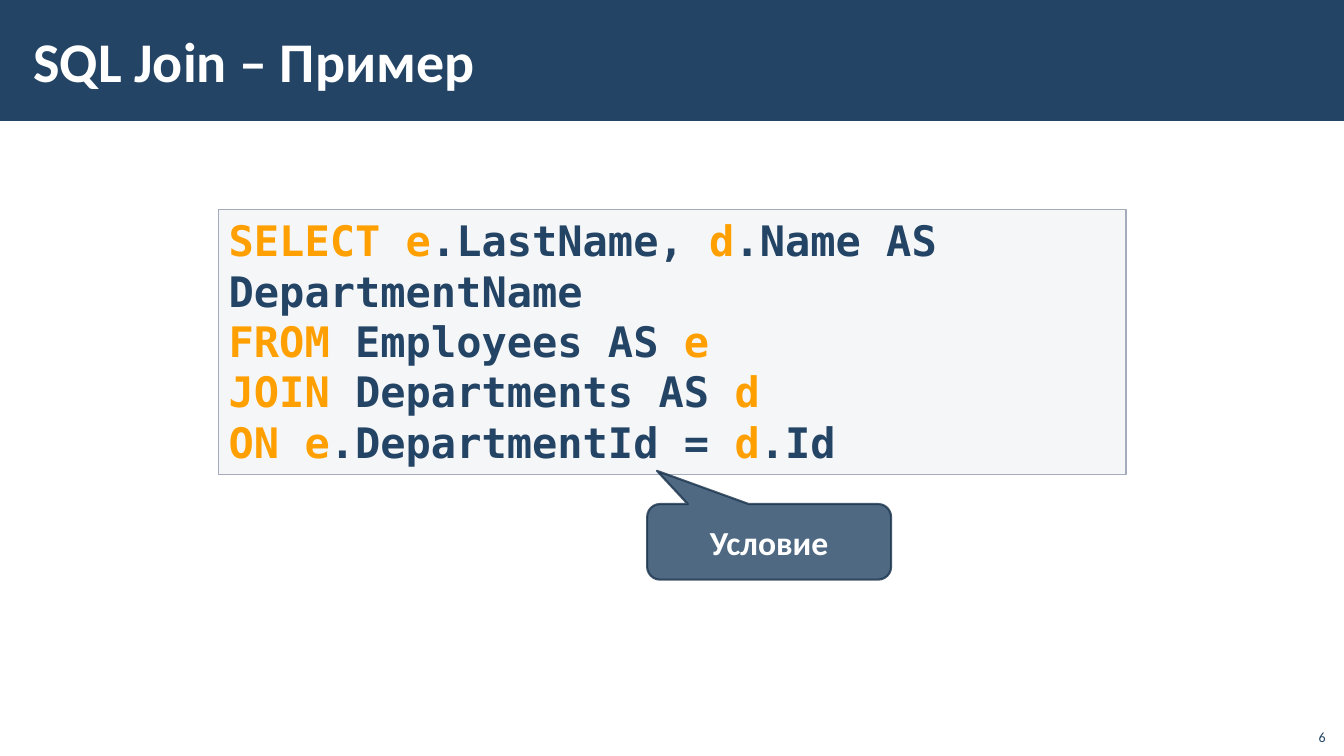
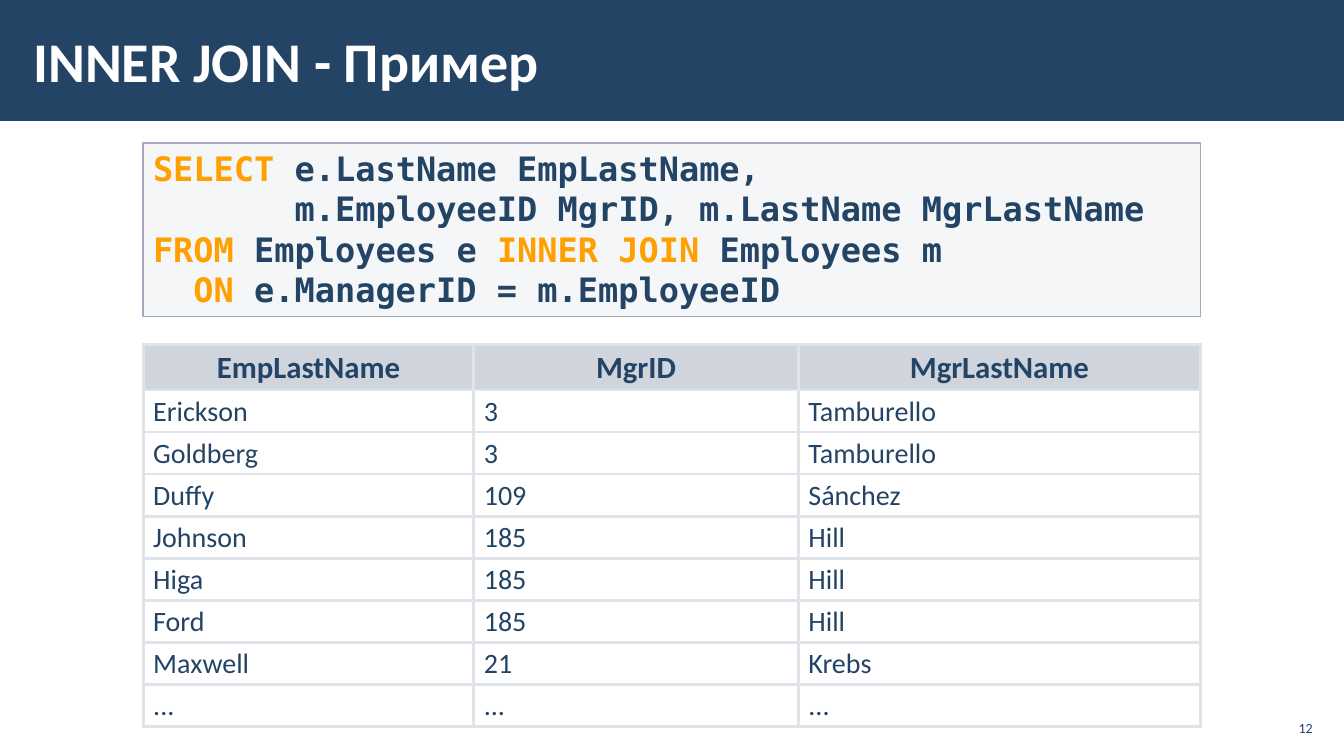
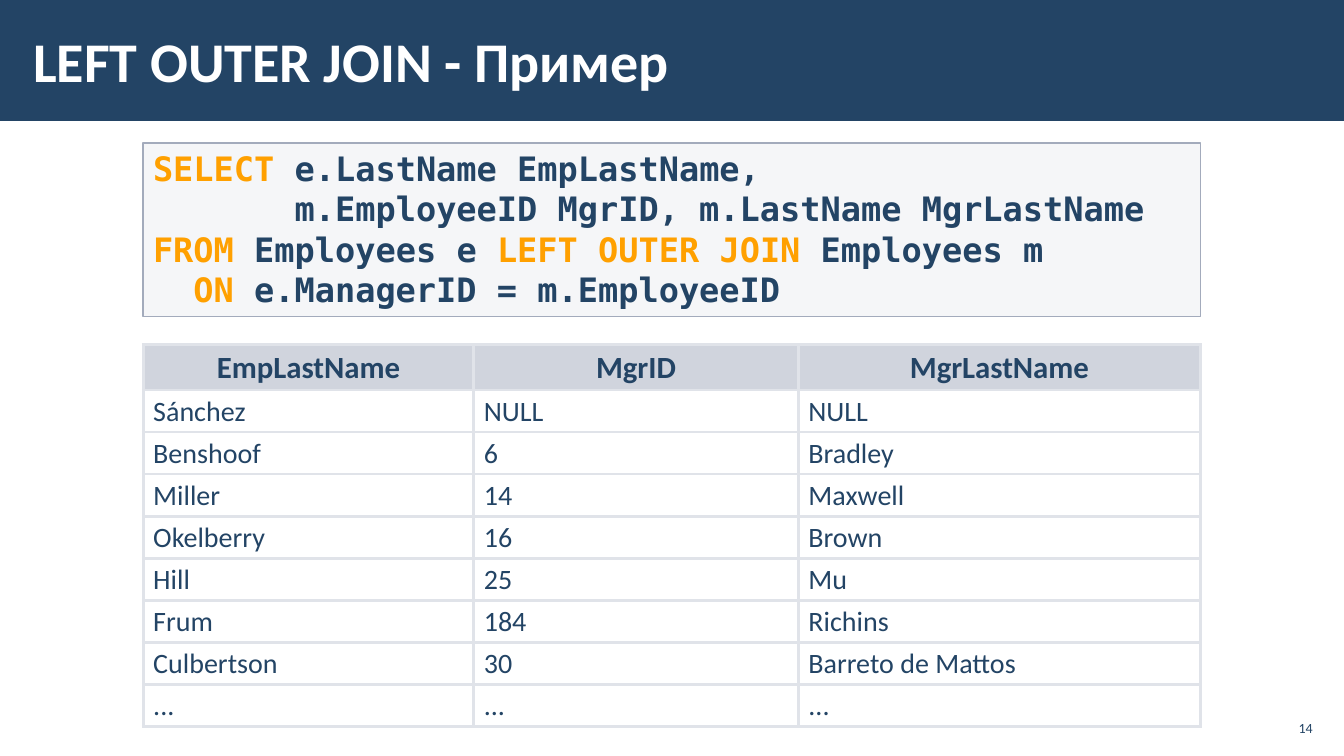
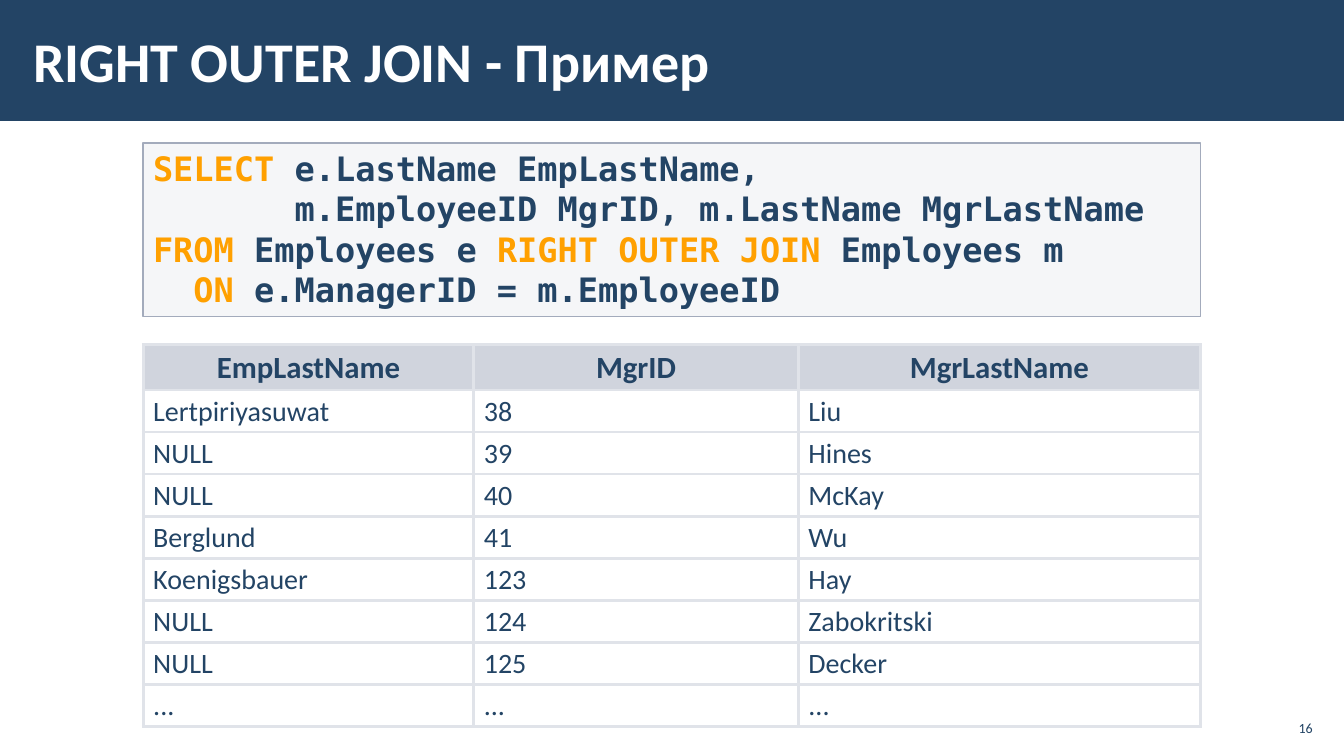
from dataclasses import dataclass

from lxml import etree
from pptx import Presentation
from pptx.dml.color import RGBColor
from pptx.enum.shapes import MSO_SHAPE
from pptx.enum.text import MSO_ANCHOR, PP_ALIGN
from pptx.oxml.ns import qn
from pptx.util import Inches, Pt

RECTANGLE = MSO_SHAPE.RECTANGLE
CALLOUT = MSO_SHAPE.ROUNDED_RECTANGULAR_CALLOUT
TOP, MIDDLE, BOTTOM = MSO_ANCHOR.TOP, MSO_ANCHOR.MIDDLE, MSO_ANCHOR.BOTTOM
LEFT, CENTER, RIGHT = PP_ALIGN.LEFT, PP_ALIGN.CENTER, PP_ALIGN.RIGHT
SLIDE_WIDTH, SLIDE_HEIGHT = Inches(13.33), Inches(7.5)
KEYWORD_MARK = "|"


@dataclass(frozen=True)
class Theme:
    ink: str = "234465"
    white: str = "FFFFFF"
    keyword: str = "FFA000"
    panel: str = "C2C7D2"
    edge: str = "A3ABBC"
    grid: str = "E0E3E9"
    callout_edge: str = "1A334C"
    body_font: str = "Calibri"
    code_font: str = "DejaVu Sans Mono"
    title_size: int = 40
    large_code_size: int = 30
    code_size: int = 24
    callout_size: int = 24
    header_size: int = 22
    cell_size: int = 20
    number_size: int = 10
    code_leading: float = 1.2
    cell_leading: float = 0.95


@dataclass(frozen=True)
class Box:
    """Percentages of the slide's width and height."""

    left: float
    top: float
    width: float
    height: float

    def lengths(self) -> tuple[int, int, int, int]:
        return (across(self.left), down(self.top), across(self.width), down(self.height))


@dataclass(frozen=True)
class JoinExample:
    title: str
    number: str
    join: str
    rows: tuple[tuple[str, str, str], ...]


THEME = Theme()
BAND = Box(0, 0, 100, 16)
TITLE = Box(1.58, 1.47, 79.73, 12.93)
LARGE_CODE = Box(16.28, 27.73, 67.5, 35.07)
CODE = Box(10.65, 18.93, 78.68, 22.93)
CONDITION = Box(48.15, 66.67, 18.15, 10)
RESULT = Box(10.65, 45.6, 78.68, 45.6)
CORNER_NUMBER = Box(96.38, 94.93, 3, 4.27)
NUMBER = Box(94.88, 95.2, 3.53, 2.8)
RESULT_COLUMNS = (24.6, 24.15, 29.93)
RESULT_HEADER = ("EmpLastName", "MgrID", "MgrLastName")
ELLIPSIS_ROW = ("...", "...", "...")

FIRST_QUERY = (
    "|SELECT e|.LastName, |d|.Name AS DepartmentName",
    "|FROM |Employees AS |e|",
    "|JOIN| Departments AS |d|",
    "|ON e|.DepartmentId = |d|.Id",
)

EXAMPLES = (
    JoinExample("INNER JOIN - Пример", "12", "INNER JOIN", (
        ("Erickson", "3", "Tamburello"),
        ("Goldberg", "3", "Tamburello"),
        ("Duffy", "109", "Sánchez"),
        ("Johnson", "185", "Hill"),
        ("Higa", "185", "Hill"),
        ("Ford", "185", "Hill"),
        ("Maxwell", "21", "Krebs"),
    )),
    JoinExample("LEFT OUTER JOIN - Пример", "14", "LEFT OUTER JOIN", (
        ("Sánchez", "NULL", "NULL"),
        ("Benshoof", "6", "Bradley"),
        ("Miller", "14", "Maxwell"),
        ("Okelberry", "16", "Brown"),
        ("Hill", "25", "Mu"),
        ("Frum", "184", "Richins"),
        ("Culbertson", "30", "Barreto de Mattos"),
    )),
    JoinExample("RIGHT OUTER JOIN - Пример", "16", "RIGHT OUTER JOIN", (
        ("Lertpiriyasuwat", "38", "Liu"),
        ("NULL", "39", "Hines"),
        ("NULL", "40", "McKay"),
        ("Berglund", "41", "Wu"),
        ("Koenigsbauer", "123", "Hay"),
        ("NULL", "124", "Zabokritski"),
        ("NULL", "125", "Decker"),
    )),
)


def across(percent: float) -> int:
    return int(SLIDE_WIDTH * percent / 100)


def down(percent: float) -> int:
    return int(SLIDE_HEIGHT * percent / 100)


def style_font(font, size: float, color: str, bold: bool = False,
               name: str = THEME.body_font) -> None:
    font.name = name
    font.size = Pt(size)
    font.bold = bold
    font.color.rgb = RGBColor.from_string(color)


def set_fill(fill, color: str) -> None:
    fill.solid()
    fill.fore_color.rgb = RGBColor.from_string(color)


def set_opacity(fill_parent, percent: int) -> None:
    color = fill_parent.find(f"{qn('a:solidFill')}/{qn('a:srgbClr')}")
    etree.SubElement(color, qn("a:alpha"), val=str(percent * 1000))


def add_panel(slide, box: Box, fill: str, opacity: int = 100, preset=RECTANGLE,
              edge: str | None = None, edge_width: float = 1):
    shape = slide.shapes.add_shape(preset, *box.lengths())
    shape.shadow.inherit = False
    set_fill(shape.fill, fill)
    if opacity < 100:
        set_opacity(shape._element.spPr, opacity)
    if edge:
        shape.line.color.rgb = RGBColor.from_string(edge)
        shape.line.width = Pt(edge_width)
    else:
        shape.line.fill.background()
    return shape


def write_line(text_frame, text: str, size: float, color: str, alignment=LEFT,
               anchor=MIDDLE, bold: bool = False) -> None:
    text_frame.word_wrap = True
    text_frame.vertical_anchor = anchor
    text_frame.text = text
    paragraph = text_frame.paragraphs[0]
    paragraph.alignment = alignment
    style_font(paragraph.runs[0].font, size, color, bold)


def add_frame(slide, title: str) -> None:
    add_panel(slide, BAND, THEME.ink)
    text_frame = slide.shapes.add_textbox(*TITLE.lengths()).text_frame
    text_frame.margin_left = text_frame.margin_right = Inches(0.12)
    text_frame.margin_top = text_frame.margin_bottom = Inches(0.04)
    write_line(text_frame, title, THEME.title_size, THEME.white, bold=True)


def add_number(slide, box: Box, number: str) -> None:
    text_frame = slide.shapes.add_textbox(*box.lengths()).text_frame
    write_line(text_frame, number, THEME.number_size, THEME.ink, RIGHT, BOTTOM)


def add_code(slide, box: Box, lines: tuple[str, ...], size: int) -> None:
    shape = add_panel(slide, box, THEME.panel, 15, edge=THEME.edge)
    text_frame = shape.text_frame
    text_frame.word_wrap = True
    text_frame.vertical_anchor = TOP
    for index, line in enumerate(lines):
        paragraph = text_frame.add_paragraph() if index else text_frame.paragraphs[0]
        paragraph.alignment = LEFT
        paragraph.line_spacing = Pt(size * THEME.code_leading)
        for position, part in enumerate(line.split(KEYWORD_MARK)):
            if part:
                run = paragraph.add_run()
                run.text = part
                color = THEME.keyword if position % 2 else THEME.ink
                style_font(run.font, size, color, True, THEME.code_font)


def add_callout(slide, box: Box, text: str) -> None:
    shape = add_panel(slide, box, THEME.ink, 80, CALLOUT, THEME.callout_edge, 1.5)
    set_opacity(shape.line._ln, 80)
    for index, value in enumerate((-0.46, -0.94, 0.17)):
        shape.adjustments[index] = value
    write_line(shape.text_frame, text, THEME.callout_size, THEME.white, CENTER, bold=True)


def set_borders(cell) -> None:
    properties = cell._tc.get_or_add_tcPr()
    for index, side in enumerate(("a:lnL", "a:lnR", "a:lnT", "a:lnB")):
        line = etree.Element(qn(side), w=str(Pt(2.25)))
        fill = etree.SubElement(line, qn("a:solidFill"))
        etree.SubElement(fill, qn("a:srgbClr"), val=THEME.grid)
        properties.insert(index, line)


def add_result(slide, rows: tuple[tuple[str, str, str], ...]) -> None:
    all_rows = (RESULT_HEADER, *rows, ELLIPSIS_ROW)
    frame = slide.shapes.add_table(len(all_rows), len(RESULT_HEADER), *RESULT.lengths())
    table = frame.table
    table.horz_banding = False
    for column, width in zip(table.columns, RESULT_COLUMNS):
        column.width = across(width)
    for row_index, values in enumerate(all_rows):
        is_header = row_index == 0
        for cell, value in zip(table.rows[row_index].cells, values):
            if is_header:
                set_fill(cell.fill, THEME.edge)
                set_opacity(cell._tc.tcPr, 50)
            else:
                cell.fill.background()
            set_borders(cell)
            cell.vertical_anchor = MIDDLE
            cell.text_frame.text = value
            paragraph = cell.text_frame.paragraphs[0]
            paragraph.alignment = CENTER if is_header else LEFT
            paragraph.line_spacing = THEME.cell_leading
            size = THEME.header_size if is_header else THEME.cell_size
            style_font(paragraph.runs[0].font, size, THEME.ink, is_header)


def join_query(join: str) -> tuple[str, ...]:
    return (
        "|SELECT| e.LastName EmpLastName,",
        "       m.EmployeeID MgrID, m.LastName MgrLastName",
        f"|FROM| Employees e |{join}| Employees m",
        "  |ON| e.ManagerID = m.EmployeeID",
    )


def add_blank_slide(presentation):
    return presentation.slides.add_slide(presentation.slide_layouts[6])


def build_first_join(presentation) -> None:
    slide = add_blank_slide(presentation)
    add_frame(slide, "SQL Join – Пример")
    add_number(slide, CORNER_NUMBER, "6")
    add_code(slide, LARGE_CODE, FIRST_QUERY, THEME.large_code_size)
    add_callout(slide, CONDITION, "Условие")


def build_example(presentation, example: JoinExample) -> None:
    slide = add_blank_slide(presentation)
    add_frame(slide, example.title)
    add_code(slide, CODE, join_query(example.join), THEME.code_size)
    add_result(slide, example.rows)
    add_number(slide, NUMBER, example.number)


def main() -> None:
    presentation = Presentation()
    presentation.slide_width = SLIDE_WIDTH
    presentation.slide_height = SLIDE_HEIGHT
    build_first_join(presentation)
    for example in EXAMPLES:
        build_example(presentation, example)
    presentation.save("out.pptx")


if __name__ == "__main__":
    main()
